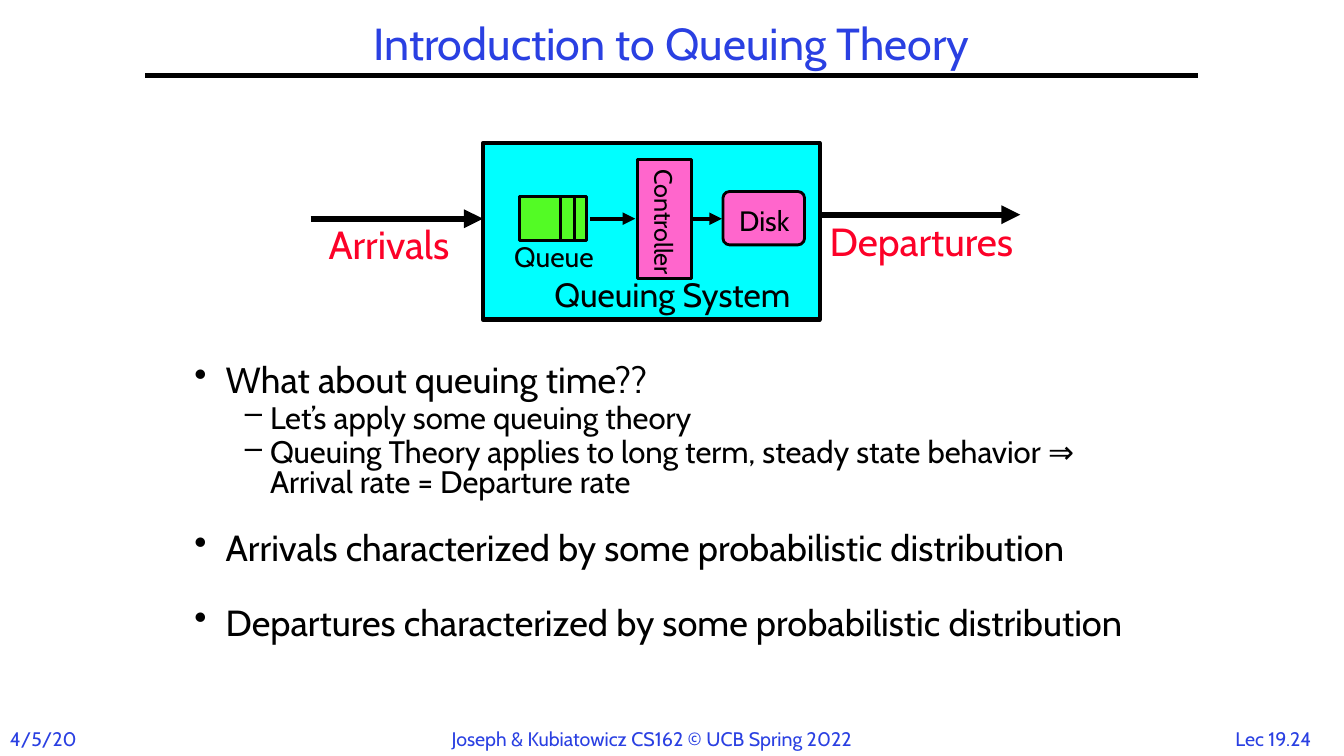
from lxml import etree
from pptx import Presentation
from pptx.dml.color import RGBColor
from pptx.enum.shapes import MSO_CONNECTOR, MSO_SHAPE
from pptx.enum.text import MSO_ANCHOR, PP_ALIGN
from pptx.oxml.ns import qn
from pptx.util import Inches, Pt

LINE = MSO_CONNECTOR.STRAIGHT
RECT, ROUND = MSO_SHAPE.RECTANGLE, MSO_SHAPE.ROUNDED_RECTANGLE
MIDDLE = MSO_ANCHOR.MIDDLE
LEFT, CENTER = PP_ALIGN.LEFT, PP_ALIGN.CENTER
FONT = "Cabin"
COLORS = {"ink": "000000", "blue": "2A40E2", "red": "FC0128",
          "cyan": "00FFFF", "pink": "FF66CC", "green": "53FB25"}

# text, level, space before in points
POINTS = [
    ("What about queuing time??", 0, 0),
    ("Let’s apply some queuing theory", 1, 3.3),
    ("Queuing Theory applies to long term, steady state behavior ⇒ "
     "Arrival rate = Departure rate", 1, 3.3),
    ("Arrivals characterized by some probabilistic distribution", 0, 24.5),
    ("Departures characterized by some probabilistic distribution", 0, 28.8),
]
# bullet, size, left margin, hanging indent
LEVELS = [("•", 25.9, 0.31, 0.31), ("–", 22.2, 0.75, 0.25)]


def rgb(name):
    return RGBColor.from_string(COLORS[name])


def style(para, size, color="ink", align=LEFT):
    para.alignment = align
    for run in para.runs:
        run.font.name = FONT
        run.font.size = Pt(size)
        run.font.color.rgb = rgb(color)


def label(slide, box, text, size, color="ink", align=LEFT, inset=(0.1, 0.05)):
    frame = slide.shapes.add_textbox(*map(Inches, box)).text_frame
    frame.word_wrap = False
    frame.margin_left = frame.margin_right = Inches(inset[0])
    frame.margin_top = frame.margin_bottom = Inches(inset[1])
    frame.text = text
    style(frame.paragraphs[0], size, color, align)
    return frame.paragraphs[0]


def block(slide, kind, box, fill, width=2):
    shape = slide.shapes.add_shape(kind, *map(Inches, box))
    shape.shadow.inherit = False
    shape.fill.solid()
    shape.fill.fore_color.rgb = rgb(fill)
    shape.line.color.rgb = rgb("ink")
    shape.line.width = Pt(width)
    return shape


def stroke(slide, start, end, width, arrow=False):
    line = slide.shapes.add_connector(LINE, *map(Inches, start + end))
    line.line.color.rgb = rgb("ink")
    line.line.width = Pt(width)
    if arrow:
        etree.SubElement(line.line._get_or_add_ln(), qn("a:tailEnd"), type="triangle")
    etree.SubElement(line._element.spPr, qn("a:effectLst"))


def header(slide, x, y, w, h):
    title = slide.shapes.title
    title.left, title.top, title.width, title.height = map(Inches, (x, y, w, h))
    frame = title.text_frame
    frame.text = "Introduction to Queuing Theory"
    frame.vertical_anchor = MIDDLE
    frame.paragraphs[0].line_spacing = 0.9
    style(frame.paragraphs[0], 32, "blue", CENTER)
    stroke(slide, (x, y + h), (x + w, y + h), 3)


def footer(slide, y):
    for x, w, text, align in [
            (0, 0.96, "4/5/20", LEFT),
            (4.38, 4.55, "Joseph & Kubiatowicz CS162 © UCB Spring 2022", LEFT),
            (12.09, 1.08, "Lec 19.24", CENTER)]:
        label(slide, (x, y, w, 0.34), text, 14, "blue", align)


def queue(slide, x, y, w, h):
    block(slide, RECT, (x, y, w, h), "green")
    for dx in (0.41, 0.55):
        stroke(slide, (x + dx, y + h), (x + dx, y), 2)
    para = label(slide, (x - 0.12, y + h + 0.01, 0.98, 0.33), "Queue", 20,
                 inset=(0.07, 0.03))
    para.line_spacing = 0.85


def control(slide, x, y, w, h):
    shape = block(slide, RECT, (x, y, w, h), "pink")
    frame = shape.text_frame
    frame.text = "Controller"
    frame.word_wrap = False
    frame.vertical_anchor = MIDDLE
    frame._txBody.bodyPr.set("vert", "eaVert")
    style(frame.paragraphs[0], 18)


def disk(slide, x, y, w, h):
    block(slide, ROUND, (x, y, w, h), "pink").adjustments[0] = 0.125
    para = label(slide, (x + 0.09, y + 0.14, 0.69, 0.34), "Disk", 20,
                 inset=(0.07, 0.03))
    para.line_spacing = 0.85


def system(slide, x, y, w, h):
    """Draw the queuing system with its arrivals and departures."""
    mid = y + 0.75
    stroke(slide, (x + 3.21, mid - 0.04), (x + 5.33, mid - 0.04), 4.5, True)
    stroke(slide, (x - 1.71, mid), (x, mid), 4.5, True)
    label(slide, (x + w, mid - 0.06, 2.15, 0.57), "Departures", 28, "red")
    label(slide, (x - 1.63, mid - 0.03, 1.51, 0.57), "Arrivals", 28, "red")
    block(slide, RECT, (x, y, w, h), "cyan", 3)
    label(slide, (x + 0.61, y + h - 0.5, 2.69, 0.5), "Queuing System", 24)
    queue(slide, x + 0.36, mid - 0.22, 0.67, 0.44)
    control(slide, x + 1.53, mid - 0.59, 0.54, 1.18)
    disk(slide, x + 2.38, mid - 0.27, 0.81, 0.53)
    for start, end in [(1.06, 1.51), (2.06, 2.37)]:
        stroke(slide, (x + start, mid), (x + end, mid), 3, True)


def bullets(slide, x, y, w, h):
    frame = slide.shapes.add_textbox(*map(Inches, (x, y, w, h))).text_frame
    frame.word_wrap = True
    for i, (text, level, gap) in enumerate(POINTS):
        para = frame.add_paragraph() if i else frame.paragraphs[0]
        para.text = text
        mark, size, left, hang = LEVELS[level]
        props = para._p.get_or_add_pPr()
        props.set("marL", str(Inches(left)))
        props.set("indent", str(-Inches(hang)))
        etree.SubElement(props, qn("a:buChar"), char=mark)
        para.level = level
        para.line_spacing = 0.8
        para.space_before = Pt(gap)
        style(para, size)


def main():
    deck = Presentation()
    deck.slide_width, deck.slide_height = Inches(13.33), Inches(7.5)
    slide = deck.slides.add_slide(deck.slide_layouts[5])
    header(slide, 1.44, 0.17, 10.44, 0.58)
    system(slide, 4.79, 1.42, 3.34, 1.75)
    bullets(slide, 1.83, 3.58, 9.67, 3.6)
    footer(slide, 7.16)
    deck.save("out.pptx")


if __name__ == "__main__":
    main()
